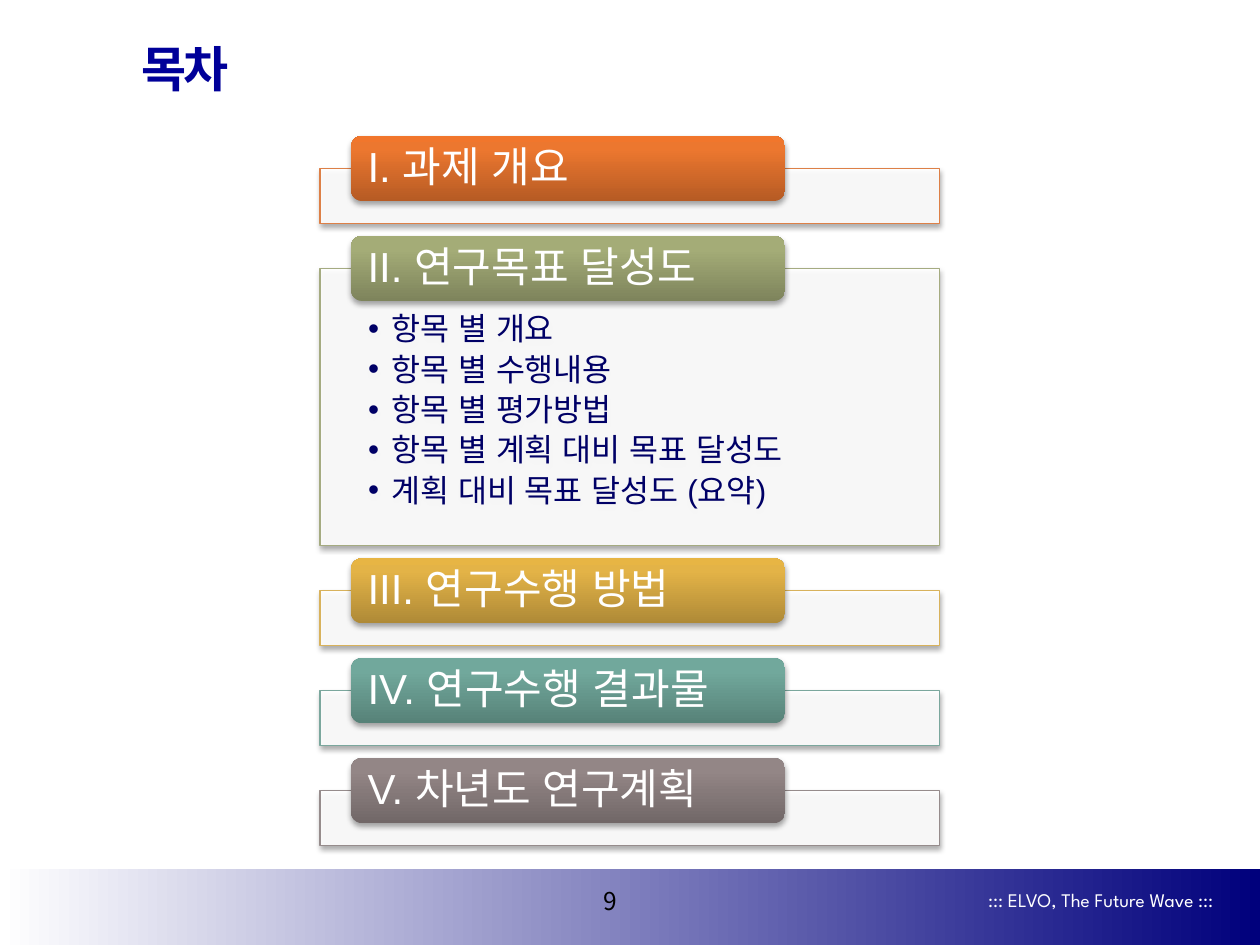
from dataclasses import dataclass

from lxml import etree
from pptx import Presentation
from pptx.dml.color import RGBColor
from pptx.enum import shapes, text
from pptx.oxml import ns
from pptx.util import Pt


@dataclass(frozen=True)
class Theme:
    """Colours, fonts and type sizes of the deck."""
    white: str = "FFFFFF"
    black: str = "000000"
    navy: str = "00007C"
    title: str = "000099"
    body: str = "000066"
    latin: str = "Arial"
    hangul: str = "Noto Sans CJK KR"
    brand: str = "League Spartan"
    big: int = 28
    head: int = 24
    item: int = 18
    page: int = 14
    small: int = 11


T = Theme()
RECT = shapes.MSO_SHAPE.RECTANGLE
ROUND = shapes.MSO_SHAPE.ROUNDED_RECTANGLE
GOALS = ["항목 별 개요", "항목 별 수행내용", "항목 별 평가방법",
         "항목 별 계획 대비 목표 달성도", "계획 대비 목표 달성도 (요약)"]
PARTS = [
    ("I. 과제 개요", "DD8047", ("B65B24", "EC772F", "F1762C"), []),
    ("II. 연구목표 달성도", "A5AB81", ("7E845C", "A4AC77", "A6AE76"), GOALS),
    ("III. 연구수행 방법", "D8B25C", ("AF8A37", "E3B347", "E7B544"), []),
    ("IV. 연구수행 결과물", "7BA79D", ("578278", "71A89C", "70AA9D"), []),
    ("V. 차년도 연구계획", "968C8C", ("716767", "938686", "948787"), []),
]


def add(root, tag, **attrs):
    """Append a drawing element with the given attributes."""
    node = etree.SubElement(root, ns.qn("a:" + tag))
    for key, val in attrs.items():
        node.set(key, str(val))
    return node


def shape(slide, kind, box):
    """Add a shape without line or shadow."""
    item = slide.shapes.add_shape(kind, *map(Pt, box))
    item.shadow.inherit = False
    item.line.fill.background()
    return item


def blend(item, stops, angle):
    """Fill a shape with a linear gradient of (percent, colour) stops."""
    item.fill.gradient()
    grad = item._element.spPr.find(ns.qn("a:gradFill"))
    for node in list(grad):
        grad.remove(node)
    row = add(grad, "gsLst")
    for pos, tint in stops:
        add(add(row, "gs", pos=pos * 1000), "srgbClr", val=tint)
    add(grad, "lin", ang=angle * 60000, scaled=0)


def shade(item):
    """Give a shape a soft shadow below it."""
    root = item._element.spPr.find(ns.qn("a:effectLst"))
    drop = add(root, "outerShdw", blurRad=Pt(3.1), dist=Pt(1.8),
               dir=5400000, algn="ctr", rotWithShape=0)
    add(add(drop, "srgbClr", val=T.black), "alpha", val=35000)


def style(para, size, tint, face, align=text.PP_ALIGN.LEFT):
    """Format a paragraph and its runs."""
    para.alignment = align
    for run in para.runs:
        font = run.font
        font.size, font.name = Pt(size), face
        font.color.rgb = RGBColor.from_string(tint)
        add(run._r.get_or_add_rPr(), "ea", typeface=face)


def inset(frame, left, top, right, base):
    """Set the four margins of a text frame."""
    frame.margin_left, frame.margin_top = Pt(left), Pt(top)
    frame.margin_right, frame.margin_bottom = Pt(right), Pt(base)


def label(slide, box, words, size, tint, face, align, wrap):
    """Add a one-line text box centred on its height."""
    frame = slide.shapes.add_textbox(*map(Pt, box)).text_frame
    frame.word_wrap = wrap
    frame.vertical_anchor = text.MSO_ANCHOR.MIDDLE
    frame.text = words
    style(frame.paragraphs[0], size, tint, face, align)


def footer(slide, box):
    """Draw the footer band with page number and motto."""
    left, top, wide, _ = box
    band = shape(slide, RECT, box)
    blend(band, [(0, T.white), (100, T.navy)], 0)
    label(slide, (left + wide - 172, top + 7.2, 152.6, 20.2),
          "::: ELVO, The Future Wave :::", T.small, T.white, T.brand,
          text.PP_ALIGN.RIGHT, False)
    label(slide, (left + 326.2, top + 5.8, 45.4, 23.8), "9", T.page,
          T.black, T.hangul, text.PP_ALIGN.CENTER, True)


def title(slide, box, words):
    """Place and format the slide title."""
    head = slide.shapes.title
    head.left, head.top, head.width, head.height = map(Pt, box)
    frame = head.text_frame
    frame.vertical_anchor = text.MSO_ANCHOR.MIDDLE
    frame.text = words
    para = frame.paragraphs[0]
    style(para, T.big, T.title, T.hangul)
    for run in para.runs:
        run.font.bold = True
        run._r.get_or_add_rPr().set("spc", "-150")


def bullets(frame, items):
    """Write the bulleted items of a panel."""
    inset(frame, 27.4, 25.9, 27.4, 10.1)
    frame.vertical_anchor = text.MSO_ANCHOR.TOP
    frame.text = "\n".join(items)
    for para in frame.paragraphs:
        para.line_spacing, para.space_after = 0.9, Pt(3.6)
        prop = para._p.get_or_add_pPr()
        prop.set("marL", str(Pt(13.5)))
        prop.set("indent", str(-Pt(13.5)))
        add(prop, "buFont", typeface=T.latin)
        add(prop, "buChar", char="•")
        style(para, T.item, T.body, T.latin)


def section(slide, box, head, edge, tones, items):
    """Draw one outlined panel with its heading tab."""
    left, top, wide, _ = box
    panel = shape(slide, RECT, box)
    panel.fill.solid()
    panel.fill.fore_color.rgb = RGBColor.from_string(T.white)
    tint = panel._element.spPr.find(".//" + ns.qn("a:srgbClr"))
    add(tint, "alpha", val=90000)
    panel.line.color.rgb = RGBColor.from_string(edge)
    panel.line.width = Pt(0.75)
    shade(panel)
    if items:
        bullets(panel.text_frame, items)

    tab = shape(slide, ROUND, (left + wide * 0.05, top - 18.5, wide * 0.7, 37.2))
    blend(tab, zip((0, 80, 100), tones), 270)
    shade(tab)
    frame = tab.text_frame
    inset(frame, 7.6, 0, 7.6, 0)
    frame.vertical_anchor = text.MSO_ANCHOR.MIDDLE
    frame.text = head
    para = frame.paragraphs[0]
    para.line_spacing, para.space_after = 0.9, Pt(8.4)
    style(para, T.head, T.white, T.latin)


def agenda(slide, box, low, gap):
    """Stack the sections; the one with items takes the spare height."""
    left, top, wide, high = box
    tall = high - (len(PARTS) - 1) * (low + gap)
    for part in PARTS:
        size = tall if part[-1] else low
        section(slide, (left, top, wide, size), *part)
        top += size + gap


def main():
    """Build and save the contents slide."""
    deck = Presentation()
    deck.slide_width, deck.slide_height = Pt(720), Pt(540)
    slide = deck.slides.add_slide(deck.slide_layouts[5])
    footer(slide, (0, 496.8, 720, 43.2))
    title(slide, (73.4, 16.6, 562.3, 44.6), "목차")
    agenda(slide, (182.9, 96.2, 354.2, 387), 31.5, 25.6)
    deck.save("out.pptx")


if __name__ == "__main__":
    main()
